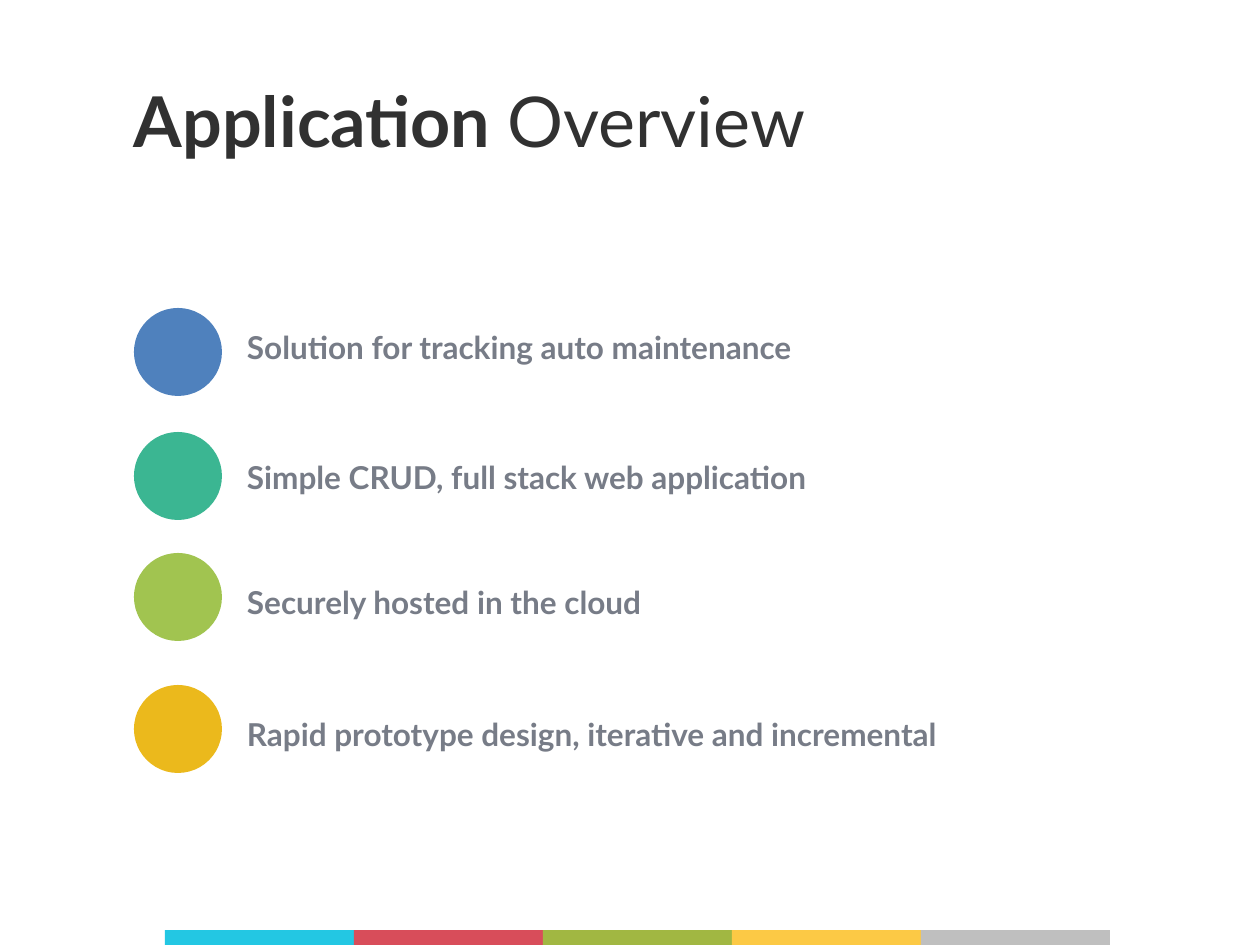
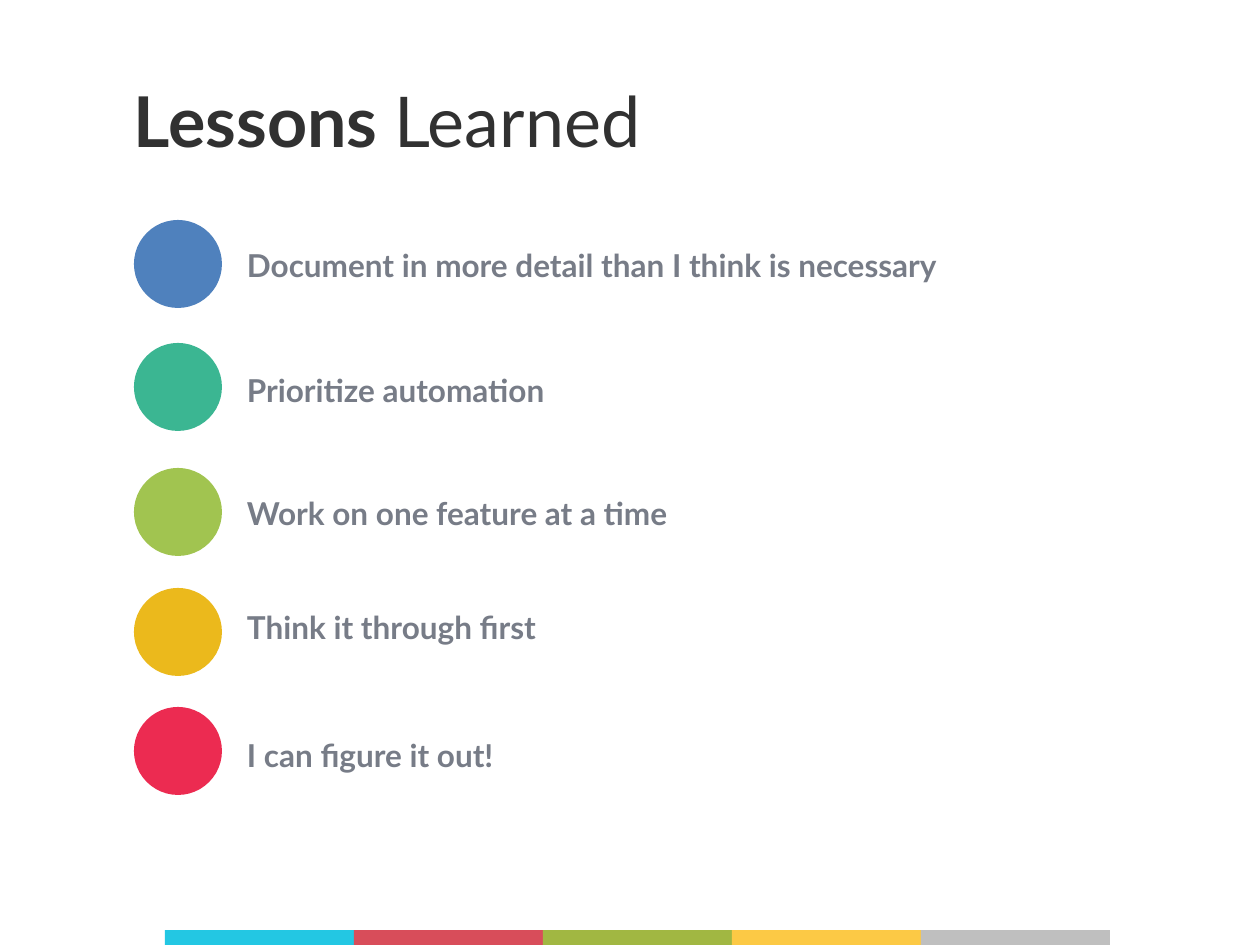
import dataclasses

import pptx
import pptx.dml.color
import pptx.enum.shapes
import pptx.enum.text
import pptx.util

SLIDE_WIDTH, SLIDE_HEIGHT = 1260, 945
EMU_PER_PIXEL = 914400 / 126
TITLE_ONLY_LAYOUT = 5


@dataclasses.dataclass(frozen=True)
class Theme:
    """Colours and type of the deck."""

    font: str = "Lato"
    title_size: int = 40
    label_size: int = 18
    title_color: str = "313131"
    label_color: str = "777C87"
    markers: tuple = ("4F81BD", "3BB692", "A1C450", "EBB91C", "EC2B51")
    band: tuple = ("23C7E3", "D84D5A", "A1B742", "FCC945", "BFBFBF")


THEME = Theme()
TITLE_BOX = (134, 94, 765, 52)
BAND_BOX = (165, 930, 945, 16)
LIST_LEFT, LIST_WIDTH = 134, 878
MARKER_SIZE = 88
LABEL_INDENT, LABEL_HEIGHT = 113, 45

SLIDES = (
    {
        "title": ("Application", "Overview"),
        "list_top": 308,
        "rows": (
            (0, 12, "Solution for tracking auto maintenance"),
            (124, 142, "Simple CRUD, full stack web application"),
            (245, 267, "Securely hosted in the cloud"),
            (377, 399, "Rapid prototype design, iterative and incremental"),
        ),
    },
    {
        "title": ("Lessons", "Learned"),
        "list_top": 220,
        "rows": (
            (0, 18, "Document in more detail than I think is necessary"),
            (123, 143, "Prioritize automation"),
            (248, 266, "Work on one feature at a time"),
            (368, 380, "Think it through first"),
            (487, 508, "I can figure it out!"),
        ),
    },
)


def to_emu(*pixels):
    """Turn pixel lengths into EMU."""
    return [pptx.util.Emu(round(pixel * EMU_PER_PIXEL)) for pixel in pixels]


def apply_format(target, values):
    """Set every attribute named in a dict of format values."""
    for name, value in values.items():
        setattr(target, name, value)


def format_frame(frame, anchor):
    """Remove the margins of a text frame and fix its wrapping and anchor."""
    apply_format(frame, {
        "margin_left": 0, "margin_top": 0, "margin_right": 0, "margin_bottom": 0,
        "word_wrap": True, "vertical_anchor": anchor,
        "auto_size": pptx.enum.text.MSO_AUTO_SIZE.NONE,
    })


def add_run(paragraph, text, size, color, bold):
    """Append formatted text to a paragraph."""
    run = paragraph.add_run()
    run.text = text
    apply_format(run.font, {"name": THEME.font, "size": pptx.util.Pt(size), "bold": bold})
    run.font.color.rgb = pptx.dml.color.RGBColor.from_string(color)


def add_filled_shape(shapes, kind, box, color):
    """Add a plain preset shape with a solid fill."""
    shape = shapes.add_shape(kind, *to_emu(*box))
    shape.shadow.inherit = False
    shape.fill.solid()
    shape.fill.fore_color.rgb = pptx.dml.color.RGBColor.from_string(color)
    shape.line.fill.background()


def place_title(slide, box, words):
    """Fill the title placeholder with a bold word and a regular word."""
    title = slide.shapes.title
    apply_format(title, dict(zip(("left", "top", "width", "height"), to_emu(*box))))
    format_frame(title.text_frame, pptx.enum.text.MSO_ANCHOR.MIDDLE)
    paragraph = title.text_frame.paragraphs[0]
    paragraph.alignment = pptx.enum.text.PP_ALIGN.LEFT
    strong, regular = words
    add_run(paragraph, strong + " ", THEME.title_size, THEME.title_color, True)
    add_run(paragraph, regular, THEME.title_size, THEME.title_color, False)


def add_label(slide, box, text):
    """Add the text of one list row."""
    frame = slide.shapes.add_textbox(*to_emu(*box)).text_frame
    format_frame(frame, pptx.enum.text.MSO_ANCHOR.TOP)
    paragraph = frame.paragraphs[0]
    apply_format(paragraph, {
        "alignment": pptx.enum.text.PP_ALIGN.JUSTIFY,
        "line_spacing": 1.2,
        "space_before": pptx.util.Pt(6),
    })
    add_run(paragraph, text, THEME.label_size, THEME.label_color, True)


def place_marker_list(slide, box, rows):
    """Add rows of a coloured circle and a label, offset from the box's top."""
    left, top, width = box
    for (marker_offset, label_offset, text), color in zip(rows, THEME.markers):
        marker_box = (left, top + marker_offset, MARKER_SIZE, MARKER_SIZE)
        add_filled_shape(slide.shapes, pptx.enum.shapes.MSO_SHAPE.OVAL, marker_box, color)
        label_box = (left + LABEL_INDENT, top + label_offset, width - LABEL_INDENT, LABEL_HEIGHT)
        add_label(slide, label_box, text)


def place_band(slide, box):
    """Add the grouped footer band of equal coloured segments."""
    left, top, width, height = box
    segment = width / len(THEME.band)
    group = slide.shapes.add_group_shape()
    for index, color in enumerate(THEME.band):
        segment_box = (left + index * segment, top, segment, height)
        add_filled_shape(group.shapes, pptx.enum.shapes.MSO_SHAPE.RECTANGLE, segment_box, color)


def build_list_slide(presentation, content):
    """Add a slide with a title, a marker list and the footer band."""
    slide = presentation.slides.add_slide(presentation.slide_layouts[TITLE_ONLY_LAYOUT])
    place_title(slide, TITLE_BOX, content["title"])
    place_marker_list(slide, (LIST_LEFT, content["list_top"], LIST_WIDTH), content["rows"])
    place_band(slide, BAND_BOX)


def main():
    """Build and save the presentation."""
    presentation = pptx.Presentation()
    presentation.slide_width, presentation.slide_height = to_emu(SLIDE_WIDTH, SLIDE_HEIGHT)
    for content in SLIDES:
        build_list_slide(presentation, content)
    presentation.save("out.pptx")


main()
